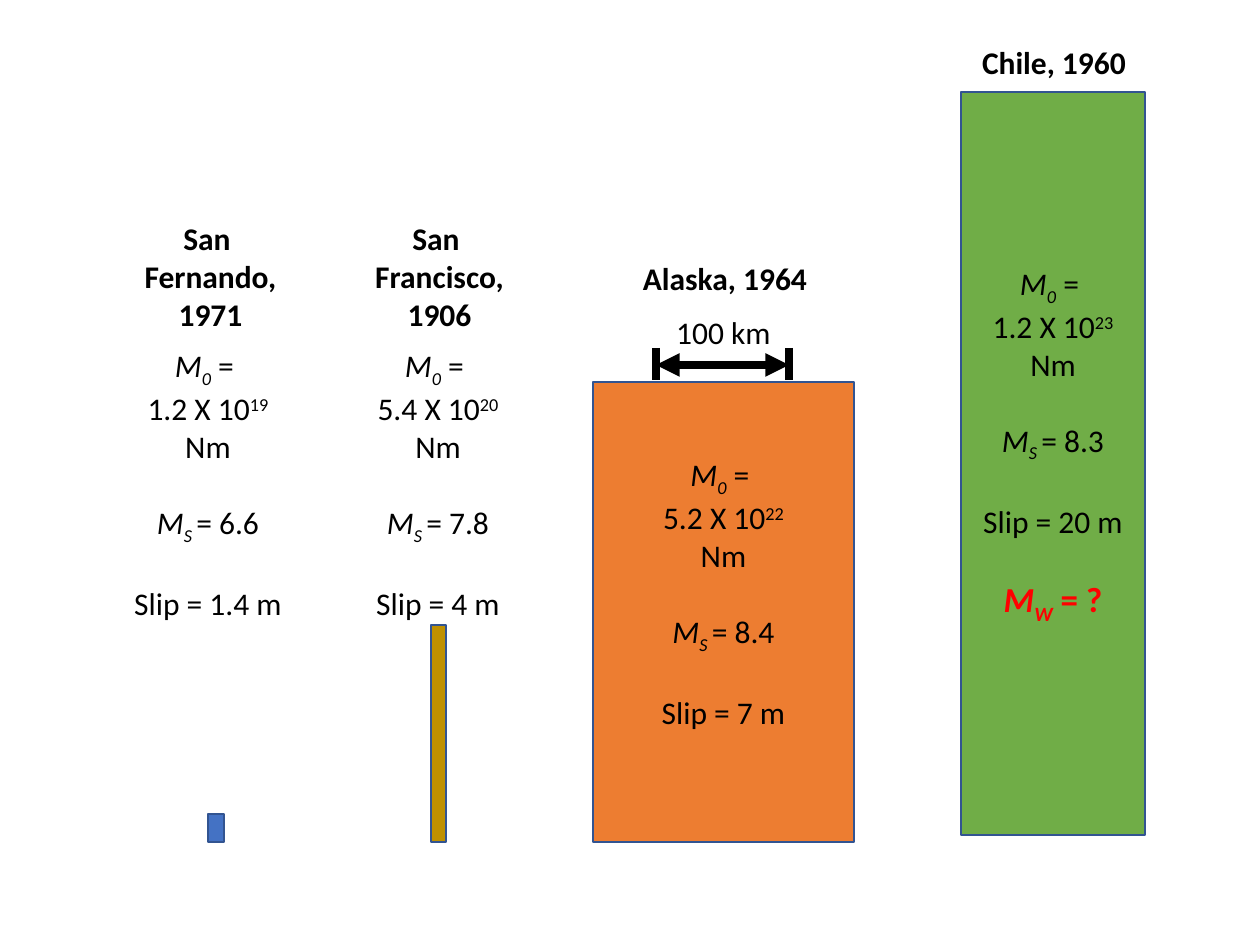
import pptx
import pptx.util
import pptx.dml.color
import pptx.enum.shapes
import pptx.enum.text
import pptx.oxml.ns
import lxml.etree

PX = 914400 / 126
BLANK_LINE = 38  # px, height of one 18 pt line
COLORS = {
    "blue": "4472C4", "gold": "BF9000", "orange": "ED7D31", "green": "70AD47",
    "outline": "325491", "black": "000000", "white": "FFFFFF", "red": "FF0000",
}
ALIGN = pptx.enum.text.PP_ALIGN
ANCHOR = pptx.enum.text.MSO_ANCHOR
SUB, SUPER = -25000, 30000


def px(length):
    return pptx.util.Emu(round(length * PX))


def rgb(name):
    return pptx.dml.color.RGBColor.from_string(COLORS[name])


def add_paragraph(frame, runs, first=False, gap=0, size=18, color="black", bold=False):
    """Add a centred paragraph; each run is (text, italic, baseline)."""
    paragraph = frame.paragraphs[0] if first else frame.add_paragraph()
    paragraph.alignment = ALIGN.CENTER
    paragraph.space_before = px(gap)
    paragraph.font.name = "Calibri"
    paragraph.font.size = pptx.util.Pt(size)
    paragraph.font.bold = bold
    paragraph.font.color.rgb = rgb(color)
    for text, italic, baseline in runs:
        run = paragraph.add_run()
        run.text = text
        run.font.italic = italic
        if baseline:
            run._r.get_or_add_rPr().set("baseline", str(baseline))


def add_fault(slide, box, color):
    """Fault area drawn to scale."""
    fault = slide.shapes.add_shape(
        pptx.enum.shapes.MSO_SHAPE.RECTANGLE, *map(px, box))
    fault.shadow.inherit = False
    fault.fill.solid()
    fault.fill.fore_color.rgb = rgb(color)
    fault.line.color.rgb = rgb("outline")
    fault.line.width = pptx.util.Pt(1)
    return fault


def add_label(slide, box, wrap, filled=True):
    label = slide.shapes.add_textbox(*map(px, box))
    if filled:
        label.fill.solid()
        label.fill.fore_color.rgb = rgb("white")
    label.text_frame.word_wrap = wrap
    label.text_frame.auto_size = pptx.enum.text.MSO_AUTO_SIZE.SHAPE_TO_FIT_TEXT
    return label.text_frame


def add_name(slide, box, lines):
    frame = add_label(slide, box, wrap=False)
    for index, line in enumerate(lines):
        add_paragraph(frame, [(line, False, 0)], first=index == 0, bold=True)


def fill_measures(frame, moment, exponent, magnitude, slip):
    """Seismic moment, surface-wave magnitude and slip."""
    add_paragraph(frame, [("M", True, 0), ("0", True, SUB), (" = ", False, 0)], first=True)
    add_paragraph(frame, [(f"{moment} X 10", False, 0), (exponent, False, SUPER)])
    add_paragraph(frame, [("Nm", False, 0)])
    add_paragraph(frame, [("M", True, 0), ("S ", True, SUB),
                          (f"= {magnitude}", False, 0)], gap=BLANK_LINE)
    add_paragraph(frame, [(f"Slip = {slip} m", False, 0)], gap=BLANK_LINE)


def add_small_quake(slide, fault_box, color, measures_box, measures, name_box, name):
    """Measures stand above a fault that is too narrow for text."""
    add_fault(slide, fault_box, color)
    fill_measures(add_label(slide, measures_box, wrap=True), *measures)
    add_name(slide, name_box, name)


def add_great_quake(slide, fault_box, color, measures, name_box, name):
    """Measures stand inside the fault area."""
    frame = add_fault(slide, fault_box, color).text_frame
    frame.word_wrap = True
    frame.vertical_anchor = ANCHOR.MIDDLE
    frame.margin_bottom = px(6 + BLANK_LINE)
    fill_measures(frame, *measures)
    add_name(slide, name_box, name)
    return frame


def add_rule(slide, start, end, arrows=False):
    rule = slide.shapes.add_connector(
        pptx.enum.shapes.MSO_CONNECTOR.STRAIGHT, *map(px, start + end))
    rule.line.color.rgb = rgb("black")
    rule.line.width = pptx.util.Pt(4.5)
    if arrows:
        line = rule.line._get_or_add_ln()
        for tip in ("a:headEnd", "a:tailEnd"):
            lxml.etree.SubElement(line, pptx.oxml.ns.qn(tip), type="triangle")
    lxml.etree.SubElement(rule._element.spPr, pptx.oxml.ns.qn("a:effectLst"))


def add_scale_bar(slide, left, top, width, height):
    """Length scale with end ticks and its caption."""
    right, middle = left + width, top + height // 2 + 1
    add_rule(slide, (left, middle), (right, middle), arrows=True)
    for x in (left, right):
        add_rule(slide, (x, top), (x, top + height))
    caption = add_label(slide, (left + 7, top - 41, 121, 55), wrap=False, filled=False)
    add_paragraph(caption, [("100 km", False, 0)], first=True)


def main():
    deck = pptx.Presentation()
    deck.slide_width, deck.slide_height = px(1260), px(945)
    slide = deck.slides.add_slide(deck.slide_layouts[6])

    # Great earthquakes
    add_great_quake(slide, (593, 382, 261, 460), "orange", ("5.2", "22", "8.4", "7"),
                    (629, 253, 192, 50), ["Alaska, 1964"])
    chile = add_great_quake(slide, (961, 92, 184, 743), "green", ("1.2", "23", "8.3", "20"),
                            (969, 37, 170, 50), ["Chile, 1960"])
    add_paragraph(chile, [("M", True, 0), ("W", True, SUB), (" = ?", False, 0)],
                  gap=BLANK_LINE, size=20, color="red", bold=True)
    add_scale_bar(slide, 656, 348, 133, 32)

    # Smaller earthquakes
    add_small_quake(slide, (431, 625, 15, 217), "gold",
                    (321, 340, 234, 280), ("5.4", "20", "7.8", "4"),
                    (362, 213, 155, 127), ["San ", "Francisco,", "1906"])
    add_small_quake(slide, (208, 814, 16, 28), "blue",
                    (91, 340, 234, 280), ("1.2", "19", "6.6", "1.4"),
                    (131, 213, 159, 127), ["San ", "Fernando,", "1971"])

    deck.save("out.pptx")


if __name__ == "__main__":
    main()
